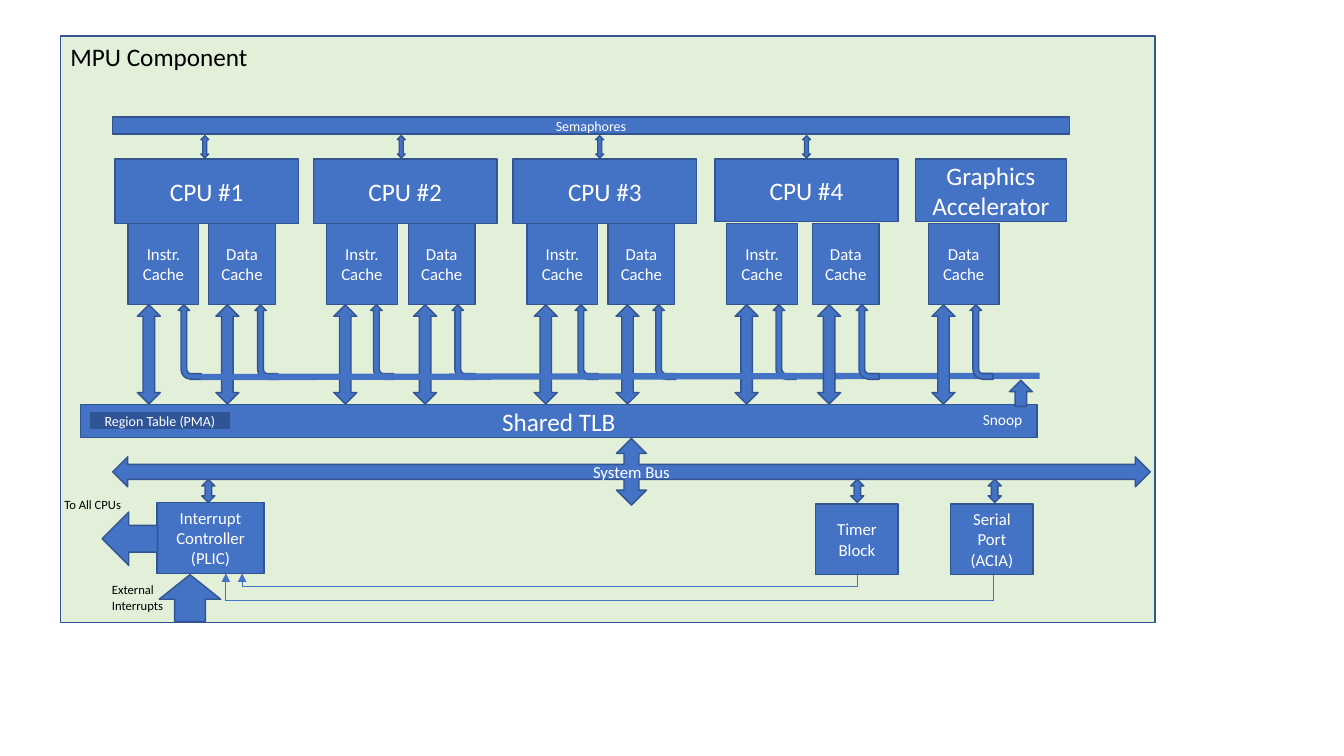
from dataclasses import dataclass
from typing import NamedTuple, Optional

from lxml import etree
from pptx import Presentation
from pptx import util as u
from pptx.dml.color import RGBColor
from pptx.enum import shapes, text
from pptx.oxml import ns

Preset = shapes.MSO_SHAPE


@dataclass(frozen=True)
class Theme:
    font: str = "Calibri"
    panel: str = "E2F0D9"
    block: str = "4472C4"
    region: str = "2F5597"
    outline: str = "325491"
    light: str = "FFFFFF"
    dark: str = "000000"
    heading: int = 18
    body: int = 12
    snoop: int = 11
    small: int = 10
    note: int = 9
    outline_width: float = 1
    wire_width: float = 0.5
    snoop_width: float = 4.5


class Box(NamedTuple):
    """Position and size in centimetres."""
    left: float
    top: float
    width: float
    height: float


class Block(NamedTuple):
    label: str
    box: Box
    size: int


class Cache(NamedTuple):
    label: str
    left: float
    width: float
    bus_x: float
    snoop_x: float


class Peripheral(NamedTuple):
    block: Block
    bus_x: float


class Point(NamedTuple):
    x: float
    y: float


theme = Theme()
presentation = Presentation()
presentation.slide_width = u.Cm(33.86)
presentation.slide_height = u.Cm(19.05)
slide = presentation.slides.add_slide(presentation.slide_layouts[5])


def place(shape, box: Box) -> None:
    shape.left, shape.top, shape.width, shape.height = map(u.Cm, box)


def paint(shape, fill: str) -> None:
    shape.shadow.inherit = False
    shape.fill.solid()
    shape.fill.fore_color.rgb = RGBColor.from_string(fill)
    shape.line.color.rgb = RGBColor.from_string(theme.outline)
    shape.line.width = u.Pt(theme.outline_width)


def write(shape, words: str, size: int, color: str, centred: bool = True) -> None:
    frame = shape.text_frame
    frame.word_wrap = True
    frame.auto_size = text.MSO_AUTO_SIZE.NONE
    frame.vertical_anchor = text.MSO_ANCHOR.MIDDLE if centred else text.MSO_ANCHOR.TOP
    paragraph = frame.paragraphs[0]
    paragraph.alignment = text.PP_ALIGN.CENTER if centred else text.PP_ALIGN.LEFT
    run = paragraph.add_run()
    run.text = words
    run.font.name = theme.font
    run.font.size = u.Pt(size)
    run.font.color.rgb = RGBColor.from_string(color)


def add_preset(preset: Preset, box: Box, fill: str = theme.block, rotation: float = 0):
    shape = slide.shapes.add_shape(preset, *map(u.Cm, box))
    paint(shape, fill)
    shape.rotation = rotation
    return shape


def add_block(block: Block, fill: str = theme.block) -> None:
    write(add_preset(Preset.RECTANGLE, block.box, fill), block.label, block.size, theme.light)


def add_upright(preset: Preset, centre: Point, length: float, thickness: float) -> None:
    """Draw a horizontal preset turned to stand upright around its centre."""
    box = Box(centre.x - length / 2, centre.y - thickness / 2, length, thickness)
    add_preset(preset, box, rotation=270)


def add_note(block: Block, color: str) -> None:
    note = slide.shapes.add_textbox(*map(u.Cm, block.box))
    write(note, block.label, block.size, color, centred=False)


def add_wire(start: Point, end: Point, width: float, tail: Optional[str] = None) -> None:
    wire = slide.shapes.add_connector(shapes.MSO_CONNECTOR.STRAIGHT, *map(u.Cm, (*start, *end)))
    wire.line.color.rgb = RGBColor.from_string(theme.block)
    wire.line.width = u.Pt(width)
    if tail:
        etree.SubElement(wire.get_or_add_ln(), ns.qn("a:tailEnd"), type=tail)
    etree.SubElement(wire.element.spPr, ns.qn("a:effectLst"))


def add_cache(cache: Cache) -> None:
    add_block(Block(cache.label, Box(cache.left, 5.64, cache.width, 2.03), theme.body))
    add_upright(Preset.LEFT_RIGHT_ARROW, Point(cache.bus_x, 8.93), 2.5, 0.58)
    add_upright(Preset.BENT_ARROW, Point(cache.snoop_x, 8.62), 1.88, 0.58)


# Titled panel
panel = slide.shapes.title
place(panel, Box(1.52, 0.91, 27.58, 14.78))
paint(panel, theme.panel)
write(panel, "MPU Component", theme.heading, theme.dark, centred=False)

# Semaphores and processors
add_block(Block("Semaphores", Box(2.84, 2.95, 24.1, 0.43), theme.small))
processors = [
    Block("CPU #1", Box(2.9, 4.01, 4.62, 1.63), theme.heading),
    Block("CPU #2", Box(7.9, 4.01, 4.62, 1.63), theme.heading),
    Block("CPU #3", Box(12.93, 4.01, 4.62, 1.63), theme.heading),
    Block("CPU #4", Box(18.01, 4.01, 4.62, 1.57), theme.heading),
    Block("Graphics Accelerator", Box(23.06, 4.01, 3.81, 1.57), theme.heading),
]
for processor in processors:
    add_block(processor)
for semaphore_x in (5.16, 10.11, 15.11, 20.32):
    add_upright(Preset.LEFT_RIGHT_ARROW, Point(semaphore_x, 3.7), 0.56, 0.2)

# Shared TLB
add_block(Block("Shared TLB", Box(2.03, 10.19, 24.1, 0.84), theme.heading))
add_block(Block("Region Table (PMA)", Box(2.29, 10.39, 3.48, 0.41), theme.small), theme.region)
add_preset(Preset.UP_ARROW, Box(25.43, 9.58, 0.58, 0.66))
add_note(Block("Snoop", Box(24.51, 10.21, 1.85, 0.74), theme.snoop), theme.light)

# Caches; the snoop line passes over the first seven and under the rest
caches = [
    Cache("Instr. Cache", 3.23, 1.78, 3.75, 4.78),
    Cache("Data Cache", 5.26, 1.68, 5.73, 6.71),
    Cache("Instr. Cache", 8.23, 1.78, 8.7, 9.63),
    Cache("Data Cache", 10.29, 1.68, 10.71, 11.68),
    Cache("Instr. Cache", 13.28, 1.78, 13.75, 14.78),
    Cache("Data Cache", 15.32, 1.68, 15.81, 16.74),
    Cache("Instr. Cache", 18.31, 1.78, 18.81, 19.77),
    Cache("Data Cache", 20.47, 1.68, 20.89, 21.86),
    Cache("Data Cache", 23.39, 1.78, 23.77, 24.73),
]
for cache in caches[:7]:
    add_cache(cache)
add_wire(Point(5.05, 9.5), Point(26.19, 9.47), theme.snoop_width)
for cache in caches[7:]:
    add_cache(cache)

# System bus and peripherals
system_bus = add_preset(Preset.QUAD_ARROW, Box(2.84, 11.05, 26.14, 1.68))
write(system_bus, "System Bus", theme.body, theme.light)
peripherals = [
    Peripheral(Block("Interrupt Controller (PLIC)", Box(3.96, 12.67, 2.69, 1.78), theme.body), 5.25),
    Peripheral(Block("Timer Block", Box(20.55, 12.7, 2.08, 1.78), theme.body), 21.6),
    Peripheral(Block("Serial Port (ACIA)", Box(23.95, 12.7, 2.08, 1.78), theme.body), 25.06),
]
for peripheral in peripherals:
    add_block(peripheral.block)
    add_upright(Preset.LEFT_RIGHT_ARROW, Point(peripheral.bus_x, 12.37), 0.58, 0.33)

# Interrupt wires from the timer and the serial port
for source_x, controller_x, level in ((21.6, 6.1, 14.78), (25.02, 5.69, 15.14)):
    source_corner, controller_corner = Point(source_x, level), Point(controller_x, level)
    add_wire(Point(source_x, 14.48), source_corner, theme.wire_width)
    add_wire(source_corner, controller_corner, theme.wire_width)
    add_wire(controller_corner, Point(controller_x, 14.45), theme.wire_width, "triangle")

# Interrupts in and out
add_preset(Preset.RIGHT_ARROW, Box(2.57, 12.9, 1.4, 1.35), rotation=180)
external = add_preset(Preset.DOWN_ARROW, Box(4.01, 14.48, 1.55, 1.19), rotation=180)
external.adjustments[1] = 0.52
add_note(Block("To All CPUs", Box(1.37, 12.4, 2.08, 0.64), theme.note), theme.dark)
add_note(Block("External Interrupts", Box(2.57, 14.55, 2.54, 1.02), theme.note), theme.dark)

presentation.save("out.pptx")
